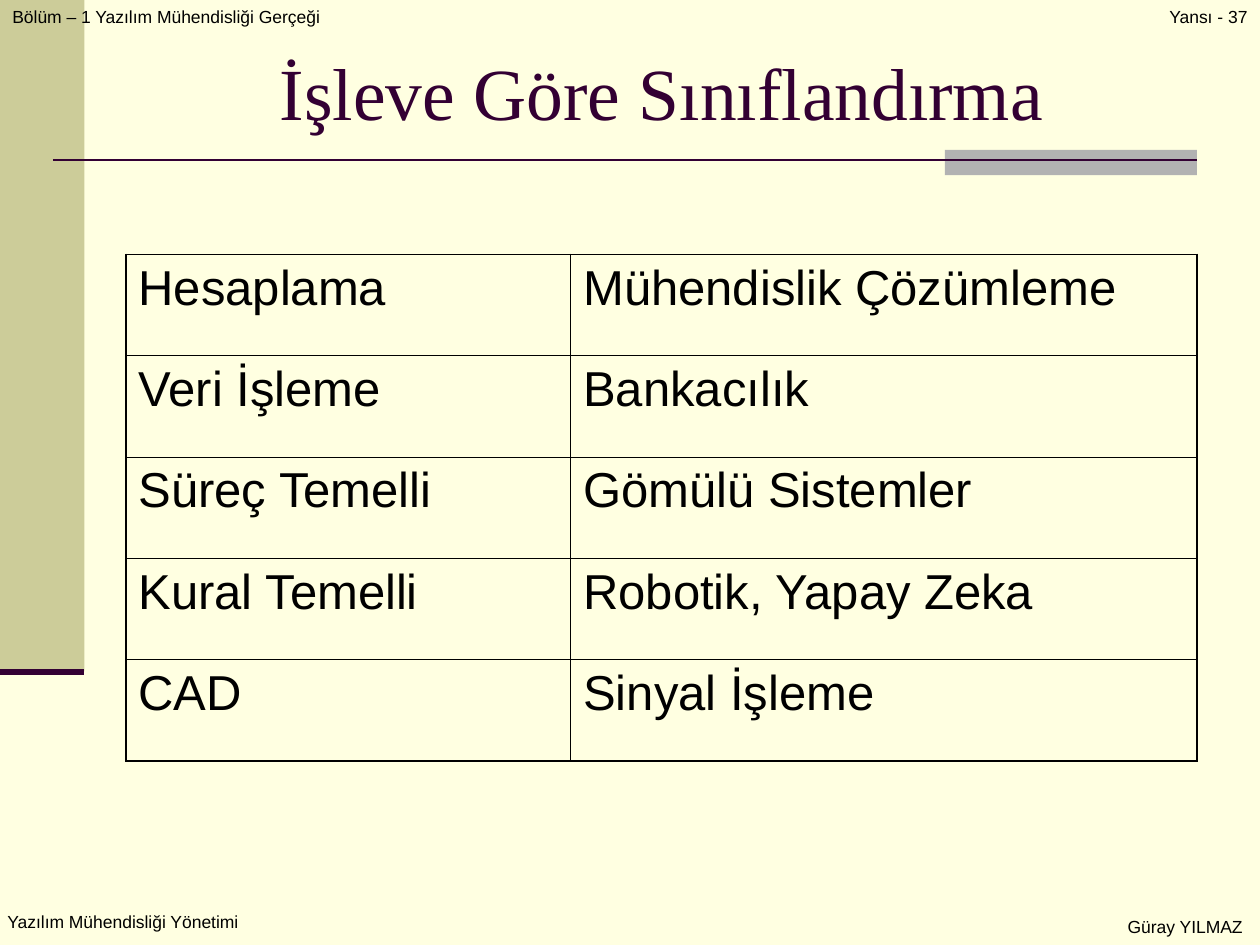
from dataclasses import dataclass

from lxml import etree
from pptx import Presentation
from pptx.dml.color import RGBColor
from pptx.enum.shapes import MSO_CONNECTOR, MSO_SHAPE
from pptx.enum.text import MSO_ANCHOR, MSO_AUTO_SIZE, PP_ALIGN
from pptx.oxml.ns import qn
from pptx.util import Inches, Pt

LEFT, CENTER, RIGHT = PP_ALIGN.LEFT, PP_ALIGN.CENTER, PP_ALIGN.RIGHT
RECTANGLE = MSO_SHAPE.RECTANGLE
STRAIGHT = MSO_CONNECTOR.STRAIGHT


@dataclass(frozen=True)
class Theme:
    background: str = "FFFFE1"
    band: str = "CCCC99"
    accent: str = "B2B2B2"
    dark: str = "330033"
    text: str = "000000"
    title_font: str = "Times New Roman"
    body_font: str = "Arial"
    title_size: float = 42
    table_size: float = 28
    label_size: float = 10
    outer_border: float = 1.08
    inner_border: float = 0.45


theme = Theme()


def write(frame, text, font, size, color, alignment=LEFT):
    frame.text = text
    para = frame.paragraphs[0]
    para.alignment = alignment
    span = para.runs[0]
    span.font.name = font
    span.font.size = Pt(size)
    span.font.color.rgb = RGBColor.from_string(color)


def add_border(cell, side, width):
    """Draw one side (L, R, T or B) of a table cell."""
    line = etree.SubElement(cell._tc.get_or_add_tcPr(), qn(f"a:ln{side}"), w=str(Pt(width)))
    fill = etree.SubElement(line, qn("a:solidFill"))
    etree.SubElement(fill, qn("a:srgbClr"), val=theme.text)


deck = Presentation()
deck.slide_width, deck.slide_height = Inches(10), Inches(7.5)
page = deck.slides.add_slide(deck.slide_layouts[5])
page.background.fill.solid()
page.background.fill.fore_color.rgb = RGBColor.from_string(theme.background)

# Side band and title accent
for left, top, width, height, color in [
    (0, 0, 0.67, 5.33, theme.band),
    (7.5, 1.19, 2, 0.2, theme.accent),
]:
    bar = page.shapes.add_shape(RECTANGLE, Inches(left), Inches(top), Inches(width), Inches(height))
    bar.shadow.inherit = False
    bar.fill.solid()
    bar.fill.fore_color.rgb = RGBColor.from_string(color)
    bar.line.fill.background()

# Rules under the title and the side band
for start, end, y, width in [(0.42, 9.5, 1.27, 1.5), (0, 0.67, 5.33, 3.5)]:
    rule = page.shapes.add_connector(STRAIGHT, Inches(start), Inches(y), Inches(end), Inches(y))
    rule.line.color.rgb = RGBColor.from_string(theme.dark)
    rule.line.width = Pt(width)
    etree.SubElement(rule._element.spPr, qn("a:effectLst"))

# Corner labels
for text, left, top, width, alignment in [
    ("Bölüm – 1 Yazılım Mühendisliği Gerçeği", 0, 0, 3.27, LEFT),
    ("Yazılım Mühendisliği Yönetimi", -0.04, 7.18, 2.17, LEFT),
    ("Güray YILMAZ", 6.71, 7.22, 3.25, RIGHT),
    ("Yansı - 37", 9.1, 0, 0.98, CENTER),
]:
    box = page.shapes.add_textbox(Inches(left), Inches(top), Inches(width), Inches(0.27))
    box.text_frame.word_wrap = True
    write(box.text_frame, text, theme.body_font, theme.label_size, theme.text, alignment)

title = page.shapes.title
title.left, title.top, title.width, title.height = Inches(1), Inches(0.3), Inches(8.5), Inches(0.85)
title.text_frame.auto_size = MSO_AUTO_SIZE.NONE
title.text_frame.vertical_anchor = MSO_ANCHOR.MIDDLE
write(title.text_frame, "İşleve Göre Sınıflandırma", theme.title_font, theme.title_size, theme.dark, CENTER)

# Functions and their application areas
rows = [
    ("Hesaplama", "Mühendislik Çözümleme"),
    ("Veri İşleme", "Bankacılık"),
    ("Süreç Temelli", "Gömülü Sistemler"),
    ("Kural Temelli", "Robotik, Yapay Zeka"),
    ("CAD", "Sinyal İşleme"),
]
table = page.shapes.add_table(len(rows), 2, Inches(1), Inches(2.02), Inches(8.5), Inches(4.02)).table
table.first_row = table.horz_banding = False
table.columns[0].width, table.columns[1].width = Inches(3.53), Inches(4.97)
for row, texts in enumerate(rows):
    for column, text in enumerate(texts):
        cell = table.cell(row, column)
        write(cell.text_frame, text, theme.body_font, theme.table_size, theme.text)
        outer_sides = {
            "L": column == 0,
            "R": column == len(texts) - 1,
            "T": row == 0,
            "B": row == len(rows) - 1,
        }
        for side, outer in outer_sides.items():
            add_border(cell, side, theme.outer_border if outer else theme.inner_border)
        cell.fill.background()

deck.save("out.pptx")
